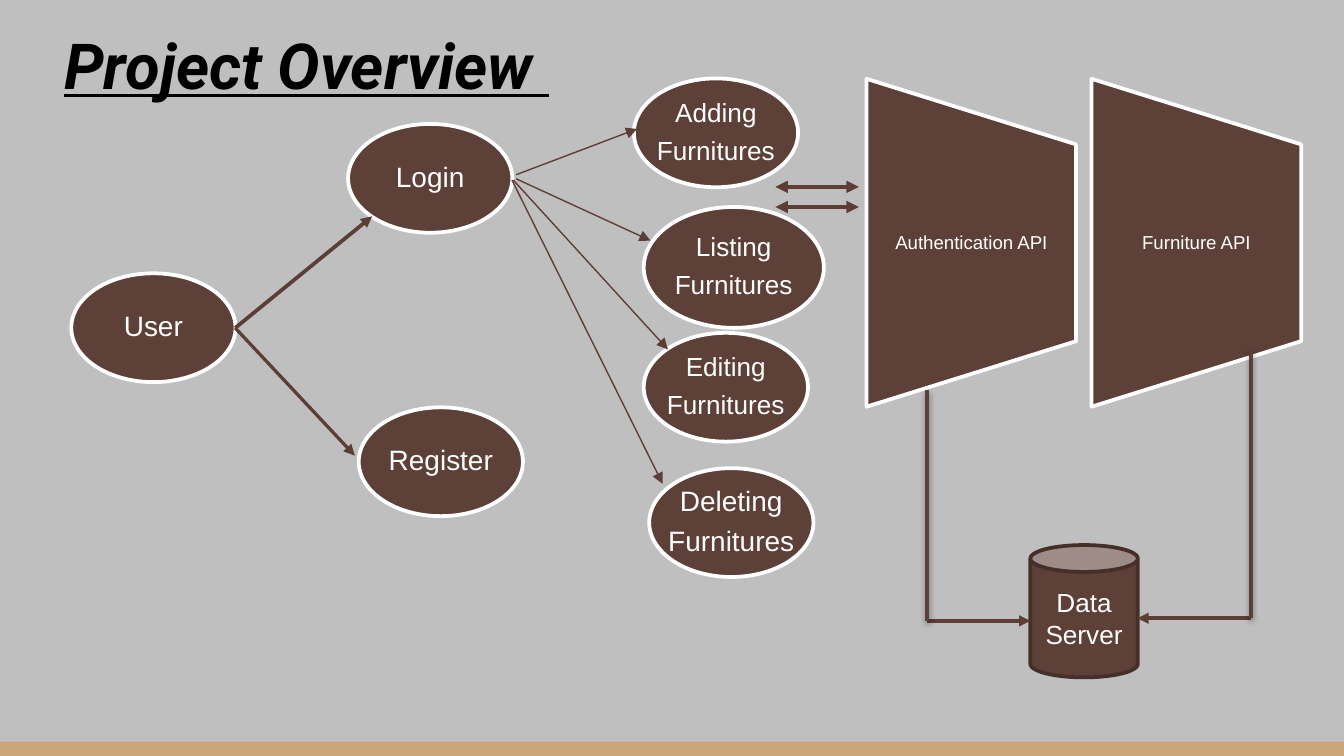
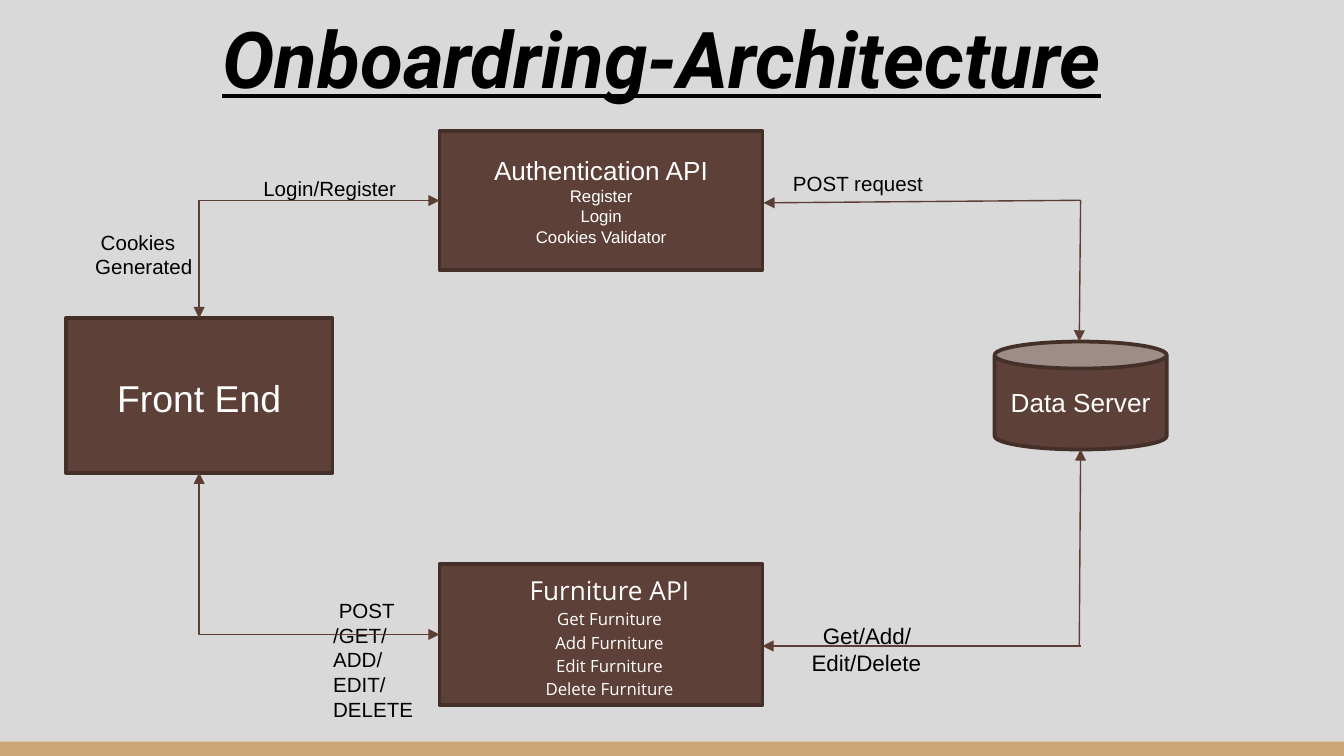
import dataclasses

import lxml.etree
import pptx
import pptx.dml.color
import pptx.enum.shapes
import pptx.enum.text
import pptx.oxml.ns
import pptx.util

Pt = pptx.util.Pt
qn = pptx.oxml.ns.qn
SHAPE = pptx.enum.shapes.MSO_SHAPE
CONNECTOR = pptx.enum.shapes.MSO_CONNECTOR
ALIGN = pptx.enum.text.PP_ALIGN
ANCHOR = pptx.enum.text.MSO_ANCHOR


@dataclasses.dataclass(frozen=True)
class Theme:
    brown: str = "5D4037"
    arrow: str = "5C3E35"
    edge: str = "452F29"
    white: str = "FFFFFF"
    black: str = "000000"
    band: str = "CCA677"
    overview_page: str = "BFBFBF"
    architecture_page: str = "D9D9D9"
    body_font: str = "Arial"
    title_font: str = "Roboto"
    list_font: str = "Open Sans"
    overview_title: int = 34
    architecture_title: int = 42
    large: int = 20
    node: int = 15
    heading: int = 14
    note: int = 12
    label: int = 11
    api: int = 10
    detail: int = 9


THEME = Theme()
PAGE_WIDTH, PAGE_HEIGHT = 720, 405
OVAL_SIZE = (88, 58.3)
API_SIZE = (112.3, 175.7)


def rgb(code):
    return pptx.dml.color.RGBColor.from_string(code)


def write_text(box, lines, size=THEME.heading, color=THEME.white, font=THEME.body_font,
               align=ALIGN.CENTER, anchor=ANCHOR.MIDDLE, insets=(7.2, 3.6, 7.2, 3.6),
               wrap=True, title=False, spacing=None, after=0, first_indent=0, detail_size=None):
    frame = box.text_frame
    frame.word_wrap = wrap
    frame.vertical_anchor = anchor
    frame.margin_left, frame.margin_top, frame.margin_right, frame.margin_bottom = map(Pt, insets)
    for index, line in enumerate(lines):
        para = frame.add_paragraph() if index else frame.paragraphs[0]
        para.alignment = align
        para.space_after = Pt(after)
        if spacing:
            para.line_spacing = spacing
        if first_indent and index == 0:
            para._p.get_or_add_pPr().set("indent", str(Pt(first_indent)))
        span = para.add_run()
        span.text = line
        span.font.name = font
        span.font.size = Pt(detail_size if detail_size and index else size)
        span.font.color.rgb = rgb(color)
        if title:
            span.font.bold = span.font.italic = span.font.underline = True


def add_text(page, lines, left, top, width, height, **text_format):
    box = page.shapes.add_textbox(Pt(left), Pt(top), Pt(width), Pt(height))
    write_text(box, lines, **text_format)
    return box


def add_box(page, kind, left, top, width, height, fill=THEME.brown, edge=THEME.edge):
    box = page.shapes.add_shape(kind, Pt(left), Pt(top), Pt(width), Pt(height))
    box.shadow.inherit = False
    box.fill.solid()
    box.fill.fore_color.rgb = rgb(fill)
    if edge:
        box.line.color.rgb = rgb(edge)
        box.line.width = Pt(2)
    else:
        box.line.fill.background()
    return box


def add_text_box(page, kind, lines, area, **text_format):
    box = add_box(page, kind, *area)
    write_text(box, lines, **text_format)
    return box


def add_oval(page, lines, left, top, width=OVAL_SIZE[0], height=OVAL_SIZE[1], size=THEME.heading):
    oval = add_box(page, SHAPE.OVAL, left, top, width, height, edge=THEME.white)
    write_text(oval, lines, size=size, wrap=False, insets=(1, 1, 1, 1),
               spacing=0.9, after=round(size * 0.37, 1))


def add_api(page, name, left, top):
    width, height = API_SIZE
    shift = (height - width) / 2
    panel = add_box(page, SHAPE.FLOWCHART_MANUAL_OPERATION, left - shift, top + shift,
                    height, width, edge=THEME.white)
    panel.rotation = 270
    add_text(page, [name], left, top + 35, width, 106, size=THEME.api,
             insets=(5, 0, 5, 0), spacing=0.9, after=4)


def add_arrow(page, start, end, width=0.75, color=THEME.arrow, head=False, tail=True,
              shadow=False, kind=CONNECTOR.STRAIGHT):
    arrow = page.shapes.add_connector(kind, *map(Pt, start + end))
    arrow.line.color.rgb = rgb(color)
    arrow.line.width = Pt(width)
    outline = arrow.line._get_or_add_ln()
    for shown, tag in ((head, "a:headEnd"), (tail, "a:tailEnd")):
        if shown:
            lxml.etree.SubElement(outline, qn(tag), type="triangle")
    effects = lxml.etree.SubElement(arrow._element.spPr, qn("a:effectLst"))
    if shadow:
        cast = lxml.etree.SubElement(effects, qn("a:outerShdw"), blurRad=str(Pt(3.1)),
                                     dist=str(Pt(1.6)), dir="5400000", rotWithShape="0")
        tint = lxml.etree.SubElement(cast, qn("a:srgbClr"), val=THEME.black)
        lxml.etree.SubElement(tint, qn("a:alpha"), val="38000")
    return arrow


def add_corner_arrow(page, start, end, start_box, start_site, end_box, end_site):
    arrow = add_arrow(page, start, end, head=True, kind=CONNECTOR.ELBOW)
    arrow._element.spPr.find(qn("a:prstGeom")).set("prst", "bentConnector2")
    arrow.begin_connect(start_box, start_site)
    arrow.end_connect(end_box, end_site)


def add_label(page, lines, left, top, width, height, size=THEME.label, first_indent=3):
    add_text(page, lines, left, top, width, height, size=size, color=THEME.black,
             align=ALIGN.LEFT, anchor=ANCHOR.TOP, first_indent=first_indent)


def add_title(page, text, left, top, width, height, **text_format):
    add_text(page, [text], left, top, width, height, color=THEME.black,
             font=THEME.title_font, title=True, **text_format)


def add_page(deck, color):
    page = deck.slides.add_slide(deck.slide_layouts[6])
    page.background.fill.solid()
    page.background.fill.fore_color.rgb = rgb(color)
    add_box(page, SHAPE.RECTANGLE, 0, 397.3, PAGE_WIDTH, PAGE_HEIGHT - 397.3,
            fill=THEME.band, edge=None)
    return page


def build_overview(deck):
    page = add_page(deck, THEME.overview_page)
    add_title(page, "Project Overview ", 18.9, 10.5, 701, 48, size=THEME.overview_title,
              align=ALIGN.LEFT, anchor=ANCHOR.TOP, insets=(15.6, 3.6, 7.2, 3.6))

    for name, left, top in (("User", 38.2, 146.4), ("Login", 186.5, 66.4), ("Register", 192.2, 218.2)):
        add_oval(page, [name], left, top, size=THEME.node)
    add_oval(page, ["Adding", "Furnitures"], 339.6, 42)
    add_oval(page, ["Listing", "Furnitures"], 344.9, 110.9, 96.5, 64.8)
    add_oval(page, ["Editing", "Furnitures"], 344.9, 178.3)
    add_oval(page, ["Deleting", "Furnitures"], 347.8, 250.8, size=THEME.node)

    user_exit = (126, 175.7)
    add_arrow(page, user_exit, (199.4, 115.9), width=2)
    add_arrow(page, user_exit, (190.1, 244.1), width=1.75)
    for start, end in (((276.5, 93.6), (341.3, 69.1)), ((276.5, 95.8), (348.5, 128.9)),
                       ((275, 96.5), (357.8, 187.2)), ((274.3, 96.5), (355, 259.2))):
        add_arrow(page, start, end)

    add_api(page, "Authentication API", 464.2, 42.2)
    add_api(page, "Furniture API", 584.8, 42.2)
    for height in (100.1, 110.9):
        add_arrow(page, (415.4, height), (460.1, height), width=2.25, head=True)

    add_text_box(page, SHAPE.CAN, ["Data", "Server"], (552, 292, 57.6, 70.9))
    for left, top, bottom, server_side in ((496.8, 208.8, 332.6, 552), (670.3, 187.2, 331.2, 609.3)):
        add_arrow(page, (left, bottom), (server_side, bottom), width=2)
        add_arrow(page, (left, top), (left, bottom), width=2, color=THEME.brown,
                  tail=False, shadow=True)


def build_architecture(deck):
    page = add_page(deck, THEME.architecture_page)
    add_title(page, "Onboardring-Architecture", 19, -2.7, 671, 65.5,
              size=THEME.architecture_title, anchor=ANCHOR.BOTTOM, insets=(7.2, 7.2, 7.2, 7.2))

    front_end = add_text_box(page, SHAPE.RECTANGLE, ["Front End"], (35.3, 170.4, 142.9, 82.9),
                             size=THEME.large, insets=(7.2, 6, 7.2, 3.6))
    authentication = add_text_box(
        page, SHAPE.RECTANGLE, ["Authentication API", "Register", "Login", "Cookies Validator"],
        (235.5, 70.2, 173, 74.5), detail_size=THEME.detail)
    furniture = add_text_box(
        page, SHAPE.RECTANGLE,
        ["Furniture API", "Get Furniture", "Add Furniture", "Edit Furniture", "Delete Furniture"],
        (235.5, 302.1, 173, 75.6), font=THEME.list_font, detail_size=THEME.detail,
        insets=(16, 0, 7.2, 0), spacing=1.15)
    add_text_box(page, SHAPE.CAN, ["Data Server"], (532.8, 183, 92.2, 57.8))

    add_label(page, ["POST request"], 414.7, 87.8, 92, 21)
    add_label(page, ["Get/Add/", "Edit/Delete"], 427.7, 329.8, 79, 50,
              size=THEME.note, first_indent=6)
    add_label(page, ["Login/Register"], 131, 90.7, 92, 21)
    add_label(page, ["Cookies", "Generated"], 43.9, 119.5, 92, 34)
    add_label(page, ["POST", "/GET/", "ADD/", "EDIT/", "DELETE"], 171.4, 316.8, 92, 74)

    add_corner_arrow(page, (235.5, 107.4), (106.7, 170.4), authentication, 1, front_end, 0)
    add_corner_arrow(page, (235.5, 346), (106.7, 253.3), furniture, 1, front_end, 2)
    for start, end in (((578.9, 107.3), (409, 108.7)), ((578.9, 107.3), (578.2, 182.9)),
                       ((578.9, 346.1), (408.5, 346.1)), ((578.2, 346.1), (578.9, 240.8))):
        add_arrow(page, start, end)


def main():
    deck = pptx.Presentation()
    deck.slide_width, deck.slide_height = Pt(PAGE_WIDTH), Pt(PAGE_HEIGHT)
    build_overview(deck)
    build_architecture(deck)
    deck.save("out.pptx")


if __name__ == "__main__":
    main()
